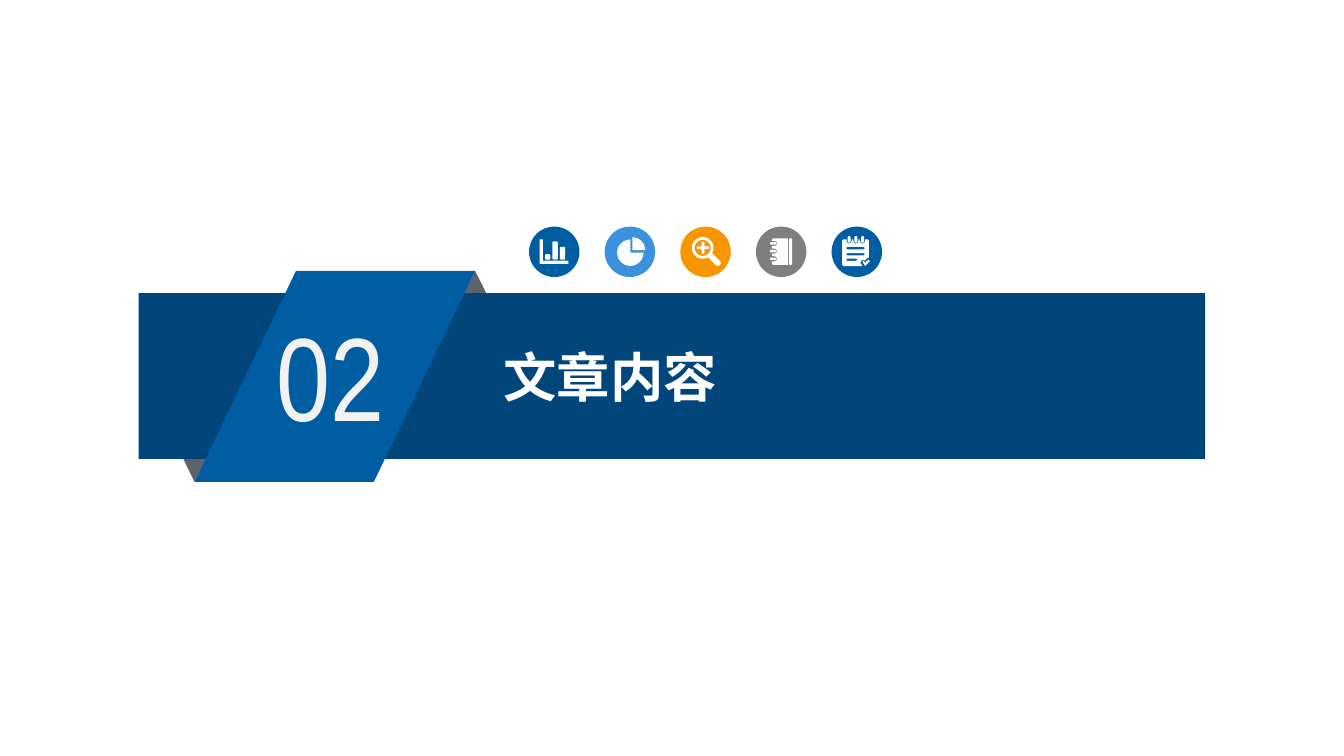
import math

import pptx
import pptx.dml.color
import pptx.enum.shapes
import pptx.enum.text
import pptx.oxml.ns
import pptx.util
from lxml import etree

SHAPE = pptx.enum.shapes.MSO_SHAPE
CELL = pptx.util.Inches(0.1)  # slide grid: 126 columns by 70.9 rows
FINE = CELL / 10  # finer grid inside an icon
WHITE, NAVY, BLUE, SKY = "FFFFFF", "00467A", "005DA2", "3992DB"
ORANGE, GREY, FOLD = "F79600", "7F7F7F", "5D636A"
DISC_LEFT, DISC_TOP, DISC_SIZE, DISC_STEP = 49.6, 21.25, 4.73, 7.09


def rgb(color):
    return pptx.dml.color.RGBColor.from_string(color)


def paint(sp, color):
    sp.shadow.inherit = False
    sp.fill.solid()
    sp.fill.fore_color.rgb = rgb(color)
    sp.line.fill.background()


def add_block(shapes, kind, box, color, adj=(), rotation=0):
    """Add a filled preset shape; box is columns and rows of the slide grid."""
    sp = shapes.add_shape(kind, *(round(v * CELL) for v in box))
    paint(sp, color)
    for i, value in enumerate(adj):
        sp.adjustments[i] = value
    sp.rotation = rotation


def write(sp, text, box, font, margin):
    """Place a text shape on the grid and format its single line."""
    for name, value in zip(("left", "top", "width", "height"), box):
        setattr(sp, name, round(value * CELL))
    tf = sp.text_frame
    frame = {"word_wrap": True,
             "auto_size": pptx.enum.text.MSO_AUTO_SIZE.NONE,
             "vertical_anchor": pptx.enum.text.MSO_ANCHOR.MIDDLE,
             "margin_left": margin, "margin_right": margin,
             "margin_top": pptx.util.Inches(0.04),
             "margin_bottom": pptx.util.Inches(0.04)}
    for name, value in frame.items():
        setattr(tf, name, value)
    p = tf.paragraphs[0]
    p.alignment = pptx.enum.text.PP_ALIGN.LEFT
    r = p.add_run()
    r.text = text
    r.font.color.rgb = rgb(font.pop("color"))
    for name, value in font.items():
        setattr(r.font, name, value)
    ea = etree.SubElement(r._r.get_or_add_rPr(), pptx.oxml.ns.qn("a:ea"))
    ea.set("typeface", font["name"])


def bar(x, y, w, h, cut=0.8):
    """Corner points of a bar with trimmed corners."""
    right, low = x + w, y + h
    return [(x + cut, y), (right - cut, y), (right, y + cut), (right, low - cut),
            (right - cut, low), (x + cut, low), (x, low - cut), (x, y + cut)]


def arc(x, y, radius, start=0, end=360, steps=18):
    """Points of a clockwise arc, in degrees from three o'clock."""
    angles = [math.radians(start + (end - start) * i / steps) for i in range(steps + 1)]
    return [(x + radius * math.cos(a), y + radius * math.sin(a)) for a in angles]


def bar_chart():
    axes = [(10, 12), (13, 12), (13, 32), (37, 32), (37, 35), (10, 35)]
    return [axes, bar(15, 26, 5, 5), bar(22, 14, 5, 17), bar(29, 19, 5, 12)]


def pie_chart():
    return [[(24, 24.5), *arc(24, 24.5, 12.4, 0, 270)],
            [(26, 22), *arc(26, 22, 12, 270, 360, 6)]]


def magnifier():
    lens = arc(21, 20, 10.2, 60, 390)
    handle = [(37.6, 32.5), (38, 35), (36, 37), (33.5, 36.5)]
    plus = [(20, 14.5), (22.6, 14.5), (22.6, 18.7), (26.8, 18.7), (26.8, 21.3),
            (22.6, 21.3), (22.6, 25.5), (20, 25.5), (20, 21.3), (15.8, 21.3),
            (15.8, 18.7), (20, 18.7)]
    return [lens + handle, arc(21, 20, 7.6), plus]


def notebook():
    rows = [15.8 + 7.2 * i for i in range(3)]
    cover = [(16, 11), (30, 11), (30, 36), (16, 36), (15, 35)]
    for y in reversed(rows):
        cover += [(15, y + 2.4), *arc(17.4, y, 2.4, 90, -90, 4), (15, y - 2.4)]
    cover.append((15, 12))
    return [cover, bar(31, 11, 3, 25)] + [bar(13, y - 1.1, 6, 2.2) for y in rows]


def notepad():
    columns = [16.5 + 6.3 * i for i in range(3)]
    page = [(10, 13), (11, 12)]
    for x in columns:
        page += [(x - 2.4, 12), *arc(x, 13.6, 2.4, 180, 0, 4), (x + 2.4, 12)]
    page += [(34, 12), (35, 13), (35, 29), (33, 30), (31, 32), (30, 31),
             (28, 32), (27, 34), (29, 37), (11, 37), (10, 36)]
    tick = [(29, 33), (30, 32), (31.5, 34), (34.5, 31), (36, 32.5), (31.5, 37)]
    lines = [bar(14, 19, 17, 2.5), bar(14, 24.8, 17, 2.3), bar(14, 30, 10, 2.2)]
    return [page, tick] + lines + [bar(x - 1.4, 9, 2.8, 6) for x in columns]


def add_icon(s, index, color, contours):
    """Add a disc with a one-piece sign drawn on the fine grid."""
    left = DISC_LEFT + index * DISC_STEP
    shapes = s.shapes.add_group_shape().shapes
    add_block(shapes, SHAPE.OVAL, (left, DISC_TOP, DISC_SIZE, DISC_SIZE), color)
    placed = [[(round(left * CELL + x * FINE), round(DISC_TOP * CELL + y * FINE))
               for x, y in points] for points in contours]
    fb = shapes.build_freeform(*placed[0][0])
    for i, points in enumerate(placed):
        if i:
            fb.move_to(*points[0])
        fb.add_line_segments(points[1:], close=True)
    paint(fb.convert_to_shape(), WHITE)


def add_banner(s):
    shapes = s.shapes.add_group_shape().shapes
    add_block(shapes, SHAPE.ISOSCELES_TRIANGLE, (40.05, 25.4, 9, 9.1), FOLD)
    add_block(shapes, SHAPE.ISOSCELES_TRIANGLE, (13.75, 36.15, 9, 9.05), FOLD,
              rotation=180)
    add_block(shapes, SHAPE.RECTANGLE, (13, 27.5, 100, 15.55), NAVY)
    add_block(shapes, SHAPE.PARALLELOGRAM, (18.25, 25.4, 26.3, 19.8), BLUE, (0.48,))
    number = shapes.add_textbox(0, 0, CELL, CELL)
    write(number, "02", (25.2, 28, 14.5, 14.2),
          {"name": "Arial Narrow", "size": pptx.util.Pt(80), "color": "F2F2F2"},
          pptx.util.Inches(0.07))


def add_title(s):
    title = s.shapes.title
    s.shapes._spTree.append(title._element)  # bring in front of the banner
    write(title, "文章内容", (46.4, 31.9, 55.2, 6.8),
          {"name": "Noto Sans CJK SC", "size": pptx.util.Pt(36), "bold": True,
           "color": WHITE}, pptx.util.Inches(0.08))


def main():
    prs = pptx.Presentation()
    prs.slide_width = round(126 * CELL)
    prs.slide_height = round(70.9 * CELL)
    s = prs.slides.add_slide(prs.slide_layouts[5])
    add_banner(s)
    add_title(s)
    icons = [(BLUE, bar_chart), (SKY, pie_chart), (ORANGE, magnifier),
             (GREY, notebook), (BLUE, notepad)]
    for i, (color, sign) in enumerate(icons):
        add_icon(s, i, color, sign())
    prs.save("out.pptx")


if __name__ == "__main__":
    main()
